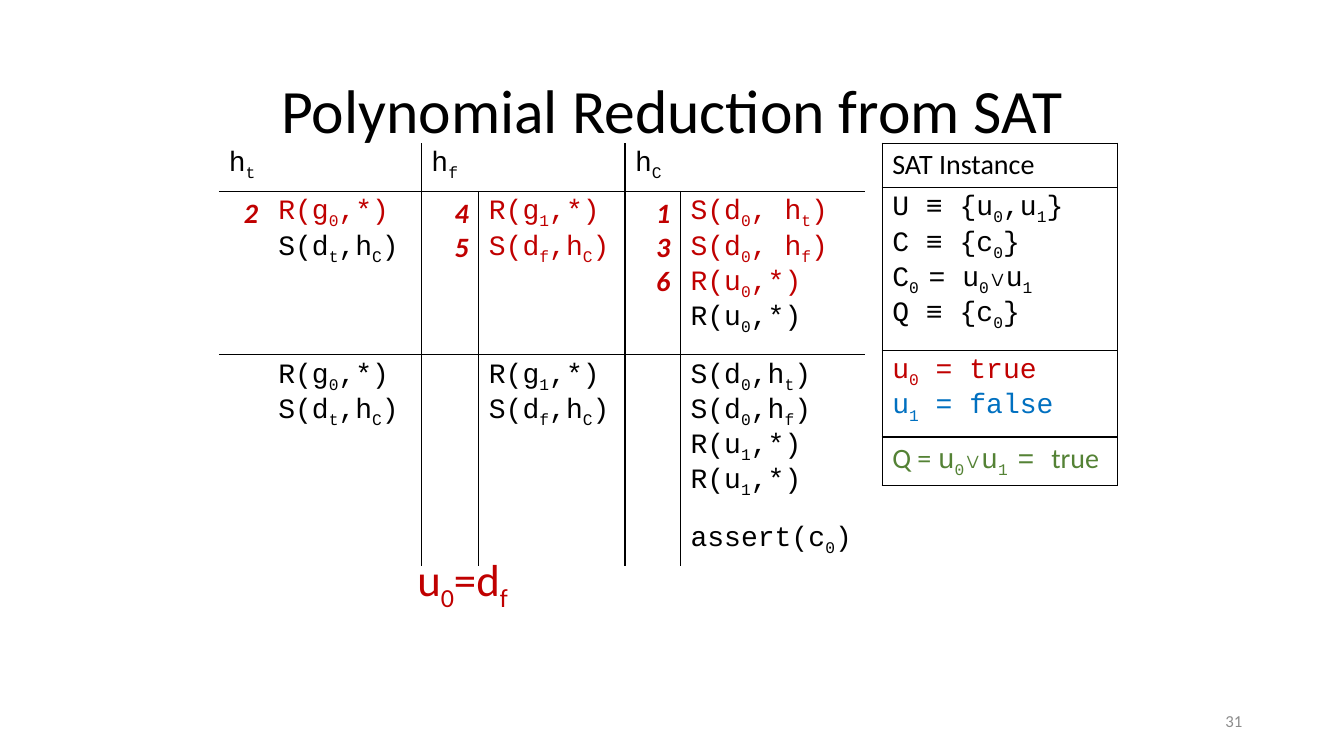
from pptx import Presentation
from pptx import util as u
from pptx.dml import color
from pptx.enum import text
from pptx.oxml import parse_xml
from pptx.oxml.ns import nsdecls

SLIDE_WIDTH, SLIDE_HEIGHT = 13.33, 7.5
BLACK, RED, BLUE, GREEN, GREY = "000000", "C00000", "0070C0", "548235", "8C8C8C"
SANS, CODE = "Calibri", "Courier New"
PLAIN_TABLE_STYLE = "{2D5ABB26-0587-4C30-8999-92F81FD0307C}"
ALIGN = text.PP_ALIGN


def rgb(value):
    return color.RGBColor.from_string(value)


def write(paragraph, markup, colour=BLACK, font=CODE, size=20, strong=False):
    """Append runs; every second part between bars is a subscript."""
    for index, part in enumerate(markup.split("|")):
        if not part:
            continue
        run = paragraph.add_run()
        run.text = part
        run.font.name = font
        run.font.size = u.Pt(size)
        run.font.color.rgb = rgb(colour)
        run.font.bold = run.font.italic = strong
        if index % 2:
            run.font._element.set("baseline", "-25000")


def add_label(slide, box, markup, size, colour=BLACK, align=ALIGN.LEFT,
              anchor=text.MSO_ANCHOR.TOP):
    frame = slide.shapes.add_textbox(*map(u.Inches, box)).text_frame
    frame.word_wrap = True
    frame.vertical_anchor = anchor
    paragraph = frame.paragraphs[0]
    paragraph.alignment = align
    write(paragraph, markup, colour, SANS, size)
    return frame


def add_plain_table(slide, left, top, columns, rows):
    frame = slide.shapes.add_table(
        len(rows), len(columns), u.Inches(left), u.Inches(top),
        u.Inches(sum(columns)), u.Inches(sum(rows)))
    frame.element.xpath(".//a:tableStyleId")[0].text = PLAIN_TABLE_STYLE
    table = frame.table
    table.first_row = table.horz_banding = False
    for column, width in zip(table.columns, columns):
        column.width = u.Inches(width)
    for row, height in zip(table.rows, rows):
        row.height = u.Inches(height)
    for cell in table.iter_cells():
        cell.fill.background()
    return table


def set_borders(cell, sides):
    properties = cell._tc.get_or_add_tcPr()
    for position, side in enumerate(s for s in "LRTB" if s in sides):
        properties.insert(position, parse_xml(
            f'<a:ln{side} w="12700" {nsdecls("a")}><a:solidFill>'
            f'<a:srgbClr val="{BLACK}"/></a:solidFill></a:ln{side}>'))


def fill_cell(cell, lines, align=ALIGN.LEFT, **style):
    """Each line is a (markup, colour) pair."""
    frame = cell.text_frame
    for index, (markup, colour) in enumerate(lines):
        paragraph = frame.add_paragraph() if index else frame.paragraphs[0]
        paragraph.alignment = align
        write(paragraph, markup, colour, **style)


def add_handler_table(slide, left, top):
    columns = [0.49, 1.52, 0.57, 1.45, 0.55, 1.83]
    table = add_plain_table(slide, left, top, columns, [0.48, 1.62, 1.62, 0.46])
    true_calls = ["R(g|0|,*)", "S(d|t|,h|C|)"]
    false_calls = ["R(g|1|,*)", "S(d|f|,h|C|)"]
    # Heading, step numbers (executed calls), then the calls of each row
    handlers = [
        ("h|t", "2", [true_calls, true_calls, []]),
        ("h|f", "45", [false_calls, false_calls, []]),
        ("h|C", "136", [["S(d|0|, h|t|)", "S(d|0|, h|f|)", "R(u|0|,*)", "R(u|0|,*)"],
                        ["S(d|0|,h|t|)", "S(d|0|,h|f|)", "R(u|1|,*)", "R(u|1|,*)"],
                        ["assert(c|0|)"]]),
    ]
    for index, (heading, steps, blocks) in enumerate(handlers):
        step_column, call_column = 2 * index, 2 * index + 1
        left_side = "L" if index else ""
        right_side = "R" if index < len(handlers) - 1 else ""
        # Heading across both columns
        table.cell(0, step_column).merge(table.cell(0, call_column))
        fill_cell(table.cell(0, step_column), [(heading, BLACK)])
        set_borders(table.cell(0, step_column), left_side + right_side + "B")
        set_borders(table.cell(0, call_column), right_side + "B")
        # Steps and calls
        fill_cell(table.cell(1, step_column), [(step, RED) for step in steps],
                  ALIGN.RIGHT, font=SANS, strong=True)
        for row, calls in enumerate(blocks, start=1):
            executed = len(steps) if row == 1 else 0
            fill_cell(table.cell(row, call_column),
                      [(call, RED if number < executed else BLACK)
                       for number, call in enumerate(calls)])
            top_side = "T" if row == 1 else ""
            set_borders(table.cell(row, step_column), left_side + top_side)
            set_borders(table.cell(row, call_column), right_side + top_side)


def add_instance_table(slide, left, top):
    table = add_plain_table(slide, left, top, [2.33], [0.44, 1.5, 0.8, 0.48])
    heading, formula, assignment, result = [table.cell(row, 0) for row in range(4)]
    fill_cell(heading, [("SAT Instance", BLACK)], font=SANS)
    fill_cell(formula, [(line, BLACK) for line in (
        "U ≡ {u|0|,u|1|}", "C ≡ {c|0|}", "C|0 |= u|0|∨u|1", "Q ≡ {c|0|}")])
    fill_cell(assignment, [("u|0| = true", RED), ("u|1| = false", BLUE)])
    fill_cell(result, [("Q = ", GREEN)], font=SANS)
    write(result.text_frame.paragraphs[0], "u|0|∨u|1 |= ", GREEN)
    write(result.text_frame.paragraphs[0], "true", GREEN, SANS)
    for cell in table.iter_cells():
        set_borders(cell, "LRTB")


def build_slide(presentation):
    slide = presentation.slides.add_slide(presentation.slide_layouts[6])
    middle = text.MSO_ANCHOR.MIDDLE
    # Title and slide number
    title = add_label(slide, (0.92, 0.4, 11.5, 1.45), "Polynomial Reduction from SAT",
                      44, align=ALIGN.CENTER, anchor=middle)
    title.paragraphs[0].line_spacing = 0.9
    add_label(slide, (9.42, 6.95, 3, 0.4), "31", 12, GREY, ALIGN.RIGHT, middle)
    # Tables share one top edge
    tables_top = 1.42
    add_instance_table(slide, 8.75, tables_top)
    # Conclusion
    conclusion = add_label(slide, (4.04, 5.42, 5.25, 0.64), "u|0|=d|f", 32, RED)
    conclusion.auto_size = text.MSO_AUTO_SIZE.SHAPE_TO_FIT_TEXT
    add_handler_table(slide, 2.17, tables_top)


def main():
    presentation = Presentation()
    presentation.slide_width = u.Inches(SLIDE_WIDTH)
    presentation.slide_height = u.Inches(SLIDE_HEIGHT)
    build_slide(presentation)
    presentation.save("out.pptx")


if __name__ == "__main__":
    main()
